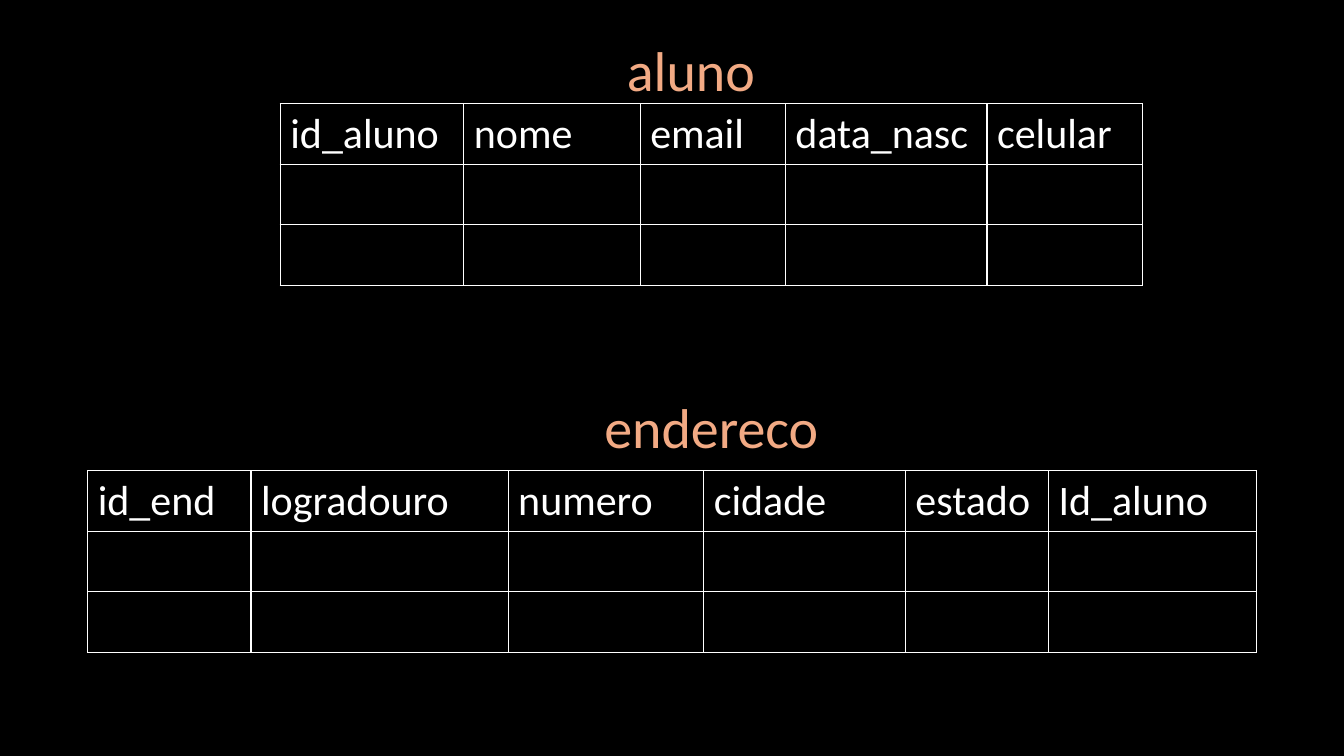
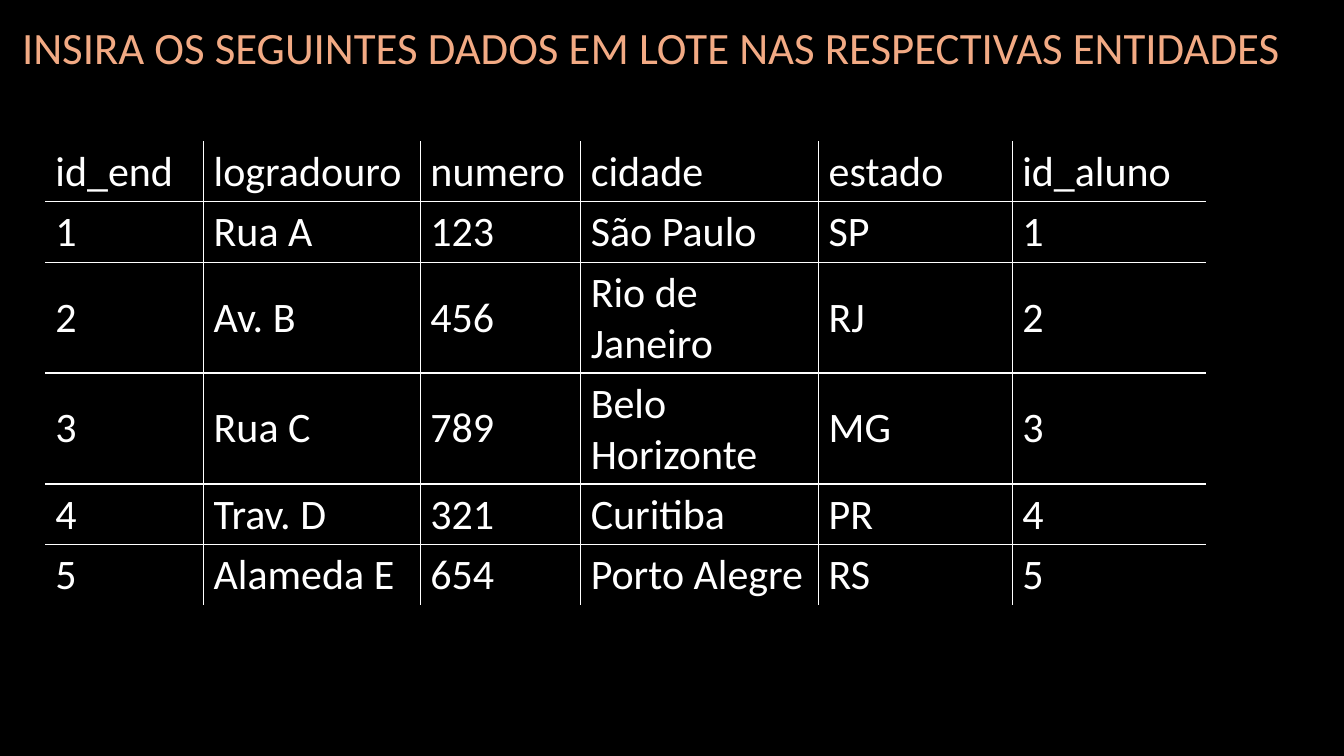
import pptx
import pptx.util
import pptx.dml.color
import pptx.enum.text
import pptx.oxml
import pptx.oxml.ns

Inches = pptx.util.Inches
Pt = pptx.util.Pt
COLORS = {"background": "000000", "title": "F2AA84", "text": "FFFFFF", "border": "FFFFFF"}
FONT = "Calibri"
ROW_HEIGHT = 0.6
TALL_ROW_HEIGHT = 1.1


def write_text(text_frame, text, size, color):
    text_frame.text = text
    for run in text_frame.paragraphs[0].runs:
        run.font.name = FONT
        run.font.size = Pt(size)
        run.font.color.rgb = pptx.dml.color.RGBColor.from_string(COLORS[color])


def set_borders(cell, visible_sides):
    properties = cell._tc.get_or_add_tcPr()
    for position, side in enumerate("LRTB"):
        if side in visible_sides:
            fill = f'<a:solidFill><a:srgbClr val="{COLORS["border"]}"/></a:solidFill>'
        else:
            fill = "<a:noFill/>"
        border = pptx.oxml.parse_xml(
            f'<a:ln{side} {pptx.oxml.ns.nsdecls("a")} w="{Pt(1)}">{fill}</a:ln{side}>'
        )
        properties.insert(position, border)


presentation = pptx.Presentation()
presentation.slide_width = Inches(13.33)
presentation.slide_height = Inches(7.5)
background = presentation.slide_master.background.fill
background.solid()
background.fore_color.rgb = pptx.dml.color.RGBColor.from_string(COLORS["background"])

LEFT = pptx.enum.text.PP_ALIGN.LEFT
CENTER = pptx.enum.text.PP_ALIGN.CENTER

slides = [
    {
        "titles": [
            ("aluno", 6.12, 0.3, 1.86, 0.77, 40, LEFT),
            ("endereco", 5.74, 3.84, 2.63, 0.77, 40, CENTER),
        ],
        "tables": [
            {
                "left": 2.78,
                "top": 1.03,
                "widths": [1.82, 1.75, 1.44, 2, 1.54],
                "rows": [["id_aluno", "nome", "email", "data_nasc", "celular"], [""] * 5, [""] * 5],
                "framed": True,
            },
            {
                "left": 0.87,
                "top": 4.67,
                "widths": [1.62, 2.55, 1.94, 2, 1.42, 2.06],
                "rows": [
                    ["id_end", "logradouro", "numero", "cidade", "estado", "Id_aluno"],
                    [""] * 6,
                    [""] * 6,
                ],
                "framed": True,
            },
        ],
    },
    {
        "titles": [
            ("INSIRA OS SEGUINTES DADOS EM LOTE NAS RESPECTIVAS ENTIDADES",
             0.12, 0.15, 13.08, 0.64, 32, LEFT),
        ],
        "tables": [
            {
                "left": 0.45,
                "top": 1.4,
                "widths": [1.57, 2.15, 1.59, 2.36, 1.92, 1.92],
                "rows": [
                    ["id_end", "logradouro", "numero", "cidade", "estado", "id_aluno"],
                    ["1", "Rua A", "123", "São Paulo", "SP", "1"],
                    ["2", "Av. B", "456", "Rio de Janeiro", "RJ", "2"],
                    ["3", "Rua C", "789", "Belo Horizonte", "MG", "3"],
                    ["4", "Trav. D", "321", "Curitiba", "PR", "4"],
                    ["5", "Alameda E", "654", "Porto Alegre", "RS", "5"],
                ],
                "tall_rows": [2, 3],
                "framed": False,
            },
        ],
    },
]

for content in slides:
    slide = presentation.slides.add_slide(presentation.slide_layouts[6])

    for text, left, top, width, height, size, alignment in content["titles"]:
        title = slide.shapes.add_textbox(Inches(left), Inches(top), Inches(width), Inches(height))
        title.text_frame.word_wrap = True
        title.text_frame.auto_size = pptx.enum.text.MSO_AUTO_SIZE.SHAPE_TO_FIT_TEXT
        write_text(title.text_frame, text, size, "title")
        title.text_frame.paragraphs[0].alignment = alignment

    for data in content["tables"]:
        rows, widths = data["rows"], data["widths"]
        heights = [
            TALL_ROW_HEIGHT if index in data.get("tall_rows", []) else ROW_HEIGHT
            for index in range(len(rows))
        ]
        table = slide.shapes.add_table(
            len(rows), len(widths), Inches(data["left"]), Inches(data["top"]),
            Inches(sum(widths)), Inches(sum(heights)),
        ).table
        table.first_row = False
        table.horz_banding = False
        for column, width in zip(table.columns, widths):
            column.width = Inches(width)
        for row_index, values in enumerate(rows):
            table.rows[row_index].height = Inches(heights[row_index])
            for column_index, value in enumerate(values):
                cell = table.cell(row_index, column_index)
                cell.vertical_anchor = pptx.enum.text.MSO_ANCHOR.MIDDLE
                cell.fill.background()
                write_text(cell.text_frame, value, 30, "text")
                inner_sides = {
                    "L": column_index > 0,
                    "R": column_index < len(widths) - 1,
                    "T": row_index > 0,
                    "B": row_index < len(rows) - 1,
                }
                set_borders(cell, [side for side in "LRTB" if data["framed"] or inner_sides[side]])

presentation.save("out.pptx")
